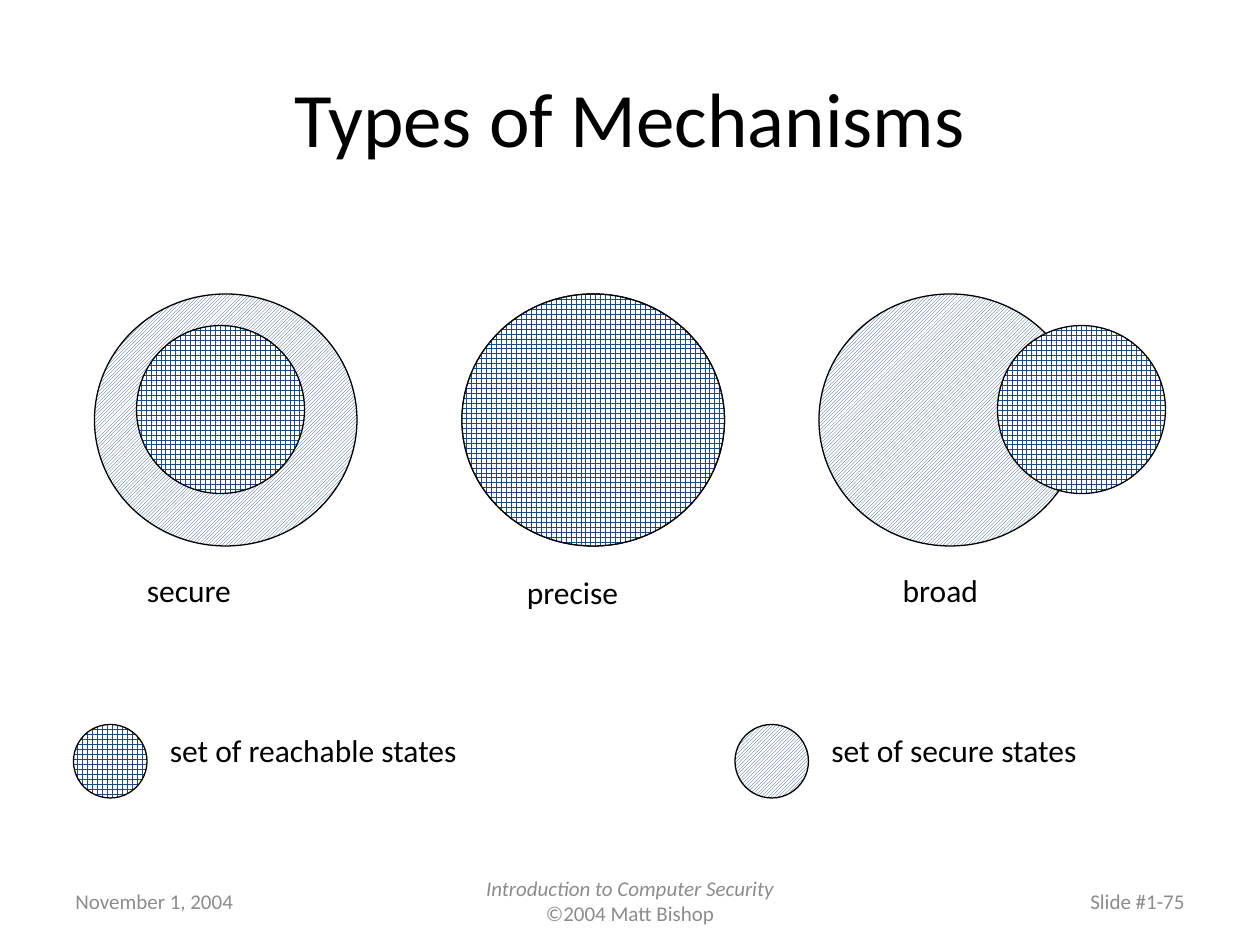
"""Build the slide that compares secure, precise and broad mechanisms."""
from dataclasses import dataclass

import pptx
import pptx.dml.color
import pptx.enum.dml
import pptx.enum.shapes
import pptx.enum.text
import pptx.util

BLACK = pptx.dml.color.RGBColor(0x00, 0x00, 0x00)
WHITE = pptx.dml.color.RGBColor(0xFF, 0xFF, 0xFF)
NAVY = pptx.dml.color.RGBColor(0x1F, 0x49, 0x7D)
GRAY = pptx.dml.color.RGBColor(0x8C, 0x8C, 0x8C)

SECURE = pptx.enum.dml.MSO_PATTERN.LIGHT_UPWARD_DIAGONAL
REACHABLE = pptx.enum.dml.MSO_PATTERN.LARGE_GRID
ALIGN = pptx.enum.text.PP_ALIGN
MIDDLE = pptx.enum.text.MSO_ANCHOR.MIDDLE
FIT_SHAPE = pptx.enum.text.MSO_AUTO_SIZE.SHAPE_TO_FIT_TEXT

CELL = pptx.util.Inches(1) / 12
SET_ROW, SUBSET_ROW, LEGEND_ROW, FOOTER_ROW = 28, 31, 69, 83.4
LARGE, SMALL, KEY = (25, 24), (16, 16), (7, 7)
LABEL_HEIGHT = 6


@dataclass(frozen=True)
class Region:
    """A patterned set of states, placed in grid cells."""
    column: float
    row: float
    size: tuple[float, float]
    pattern: pptx.enum.dml.MSO_PATTERN


@dataclass(frozen=True)
class Label:
    """A one-line caption, placed in grid cells."""
    text: str
    column: float
    row: float
    width: float


@dataclass(frozen=True)
class Footer:
    """A footer field whose lines pair a text with its italic flag."""
    lines: tuple[tuple[str, bool], ...]
    column: float
    width: float
    align: pptx.enum.text.PP_ALIGN


REGIONS = (
    Region(9, SET_ROW, LARGE, SECURE),
    Region(13, SUBSET_ROW, SMALL, REACHABLE),
    Region(44, SET_ROW, LARGE, SECURE),
    Region(44, SET_ROW, LARGE, REACHABLE),
    Region(78, SET_ROW, LARGE, SECURE),
    Region(95, SUBSET_ROW, SMALL, REACHABLE),
    Region(7, LEGEND_ROW, KEY, REACHABLE),
    Region(70, LEGEND_ROW, KEY, SECURE),
)
LABELS = (
    Label("secure", 12.8, 53.8, 12.6),
    Label("precise", 49, 54, 13.7),
    Label("broad", 84.8, 53.8, 11.5),
    Label("set of reachable states", 15, LEGEND_ROW, 37.3),
    Label("set of secure states", 78, LEGEND_ROW, 32.3),
)
FOOTERS = (
    Footer((("November 1, 2004", False),), 6, 28, ALIGN.LEFT),
    Footer((("Introduction to Computer Security", True),
            ("©2004 Matt Bishop", False)), 41, 38, ALIGN.CENTER),
    Footer((("Slide #1-75", False),), 86, 28, ALIGN.RIGHT),
)


def cells(*counts: float) -> list[int]:
    """Turn grid counts into lengths."""
    return [round(count * CELL) for count in counts]


def write(paragraph, text: str, size: int, color, italic: bool = False) -> None:
    """Fill a paragraph with one formatted run."""
    run = paragraph.add_run()
    run.text = text
    run.font.color.rgb = color
    formats = {"name": "Calibri", "size": pptx.util.Pt(size), "italic": italic}
    for attribute, value in formats.items():
        setattr(run.font, attribute, value)


def set_title(slide, text: str) -> None:
    """Place and fill the title placeholder."""
    title = slide.shapes.title
    box = zip(("left", "top", "width", "height"), cells(6, 3.6, 108, 15))
    for attribute, value in box:
        setattr(title, attribute, value)
    title.text_frame.vertical_anchor = MIDDLE
    heading = title.text_frame.paragraphs[0]
    heading.alignment = ALIGN.CENTER
    write(heading, text, 44, BLACK)


def draw_region(slide, region: Region) -> None:
    """Draw a set of states as a patterned ellipse."""
    ellipse = slide.shapes.add_shape(
        pptx.enum.shapes.MSO_SHAPE.OVAL,
        *cells(region.column, region.row, *region.size))
    ellipse.shadow.inherit = False
    ellipse.fill.patterned()
    ellipse.fill.pattern = region.pattern
    ellipse.fill.fore_color.rgb = NAVY
    ellipse.fill.back_color.rgb = WHITE
    ellipse.line.color.rgb = BLACK
    ellipse.line.width = pptx.util.Pt(0.75)


def draw_label(slide, label: Label) -> None:
    """Write a caption that does not wrap."""
    frame = slide.shapes.add_textbox(
        *cells(label.column, label.row, label.width, LABEL_HEIGHT)).text_frame
    for attribute, value in {"word_wrap": False, "auto_size": FIT_SHAPE}.items():
        setattr(frame, attribute, value)
    write(frame.paragraphs[0], label.text, 18, BLACK)


def draw_footer(slide, footer: Footer) -> None:
    """Write a footer field, one paragraph per line."""
    frame = slide.shapes.add_textbox(
        *cells(footer.column, FOOTER_ROW, footer.width, 4.8)).text_frame
    for attribute, value in {"word_wrap": True, "vertical_anchor": MIDDLE}.items():
        setattr(frame, attribute, value)
    for index, (text, italic) in enumerate(footer.lines):
        paragraph = frame.add_paragraph() if index else frame.paragraphs[0]
        paragraph.alignment = footer.align
        write(paragraph, text, 12, GRAY, italic)


def main() -> None:
    """Assemble and save the slide."""
    deck = pptx.Presentation()
    deck.slide_width, deck.slide_height = cells(120, 90)
    slide = deck.slides.add_slide(deck.slide_layouts[5])
    set_title(slide, "Types of Mechanisms")
    for footer in FOOTERS:
        draw_footer(slide, footer)
    for region in REGIONS:
        draw_region(slide, region)
    for label in LABELS:
        draw_label(slide, label)
    deck.save("out.pptx")


if __name__ == "__main__":
    main()
